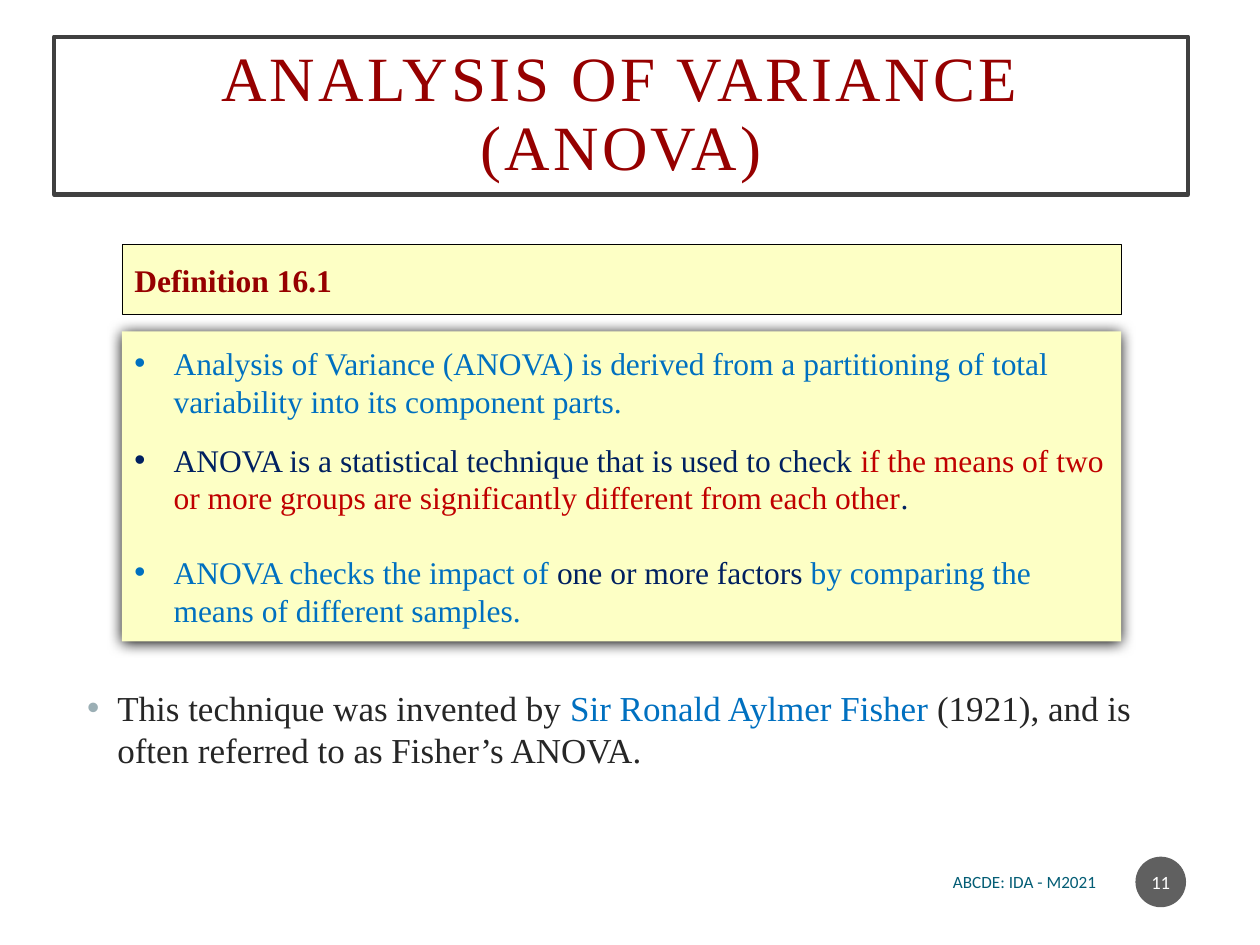
import pptx
import pptx.util
import pptx.dml.color
import pptx.enum.shapes
import pptx.enum.text
import pptx.oxml
import pptx.oxml.ns
import lxml.etree
from dataclasses import dataclass

Cm = pptx.util.Cm
Pt = pptx.util.Pt
ALIGN = pptx.enum.text.PP_ALIGN
ANCHOR = pptx.enum.text.MSO_ANCHOR
SHAPE = pptx.enum.shapes.MSO_SHAPE
qn = pptx.oxml.ns.qn


@dataclass
class Theme:
    serif: str = "Times New Roman"
    sans: str = "Calibri"
    title_size: float = 36
    body_size: float = 20
    box_size: float = 18
    footer_size: float = 9.8
    number_size: float = 10.7
    white: str = "FFFFFF"
    black: str = "000000"
    frame: str = "404040"
    maroon: str = "960000"
    cream: str = "FDFFC5"
    blue: str = "0070C0"
    navy: str = "002060"
    red: str = "C00000"
    ink: str = "262626"
    bullet: str = "9BAFB5"
    teal: str = "045D75"
    badge: str = "1D1D1D"


theme = Theme()

TITLE = [("ANALYSIS OF VARIANCE (ANOVA)", theme.maroon)]
HEADING = [("Definition 16.1", theme.maroon)]
DEFINITION = [
    (0, [("Analysis of Variance (ANOVA) is derived from a partitioning of total "
          "variability into its component parts.", theme.blue)]),
    (12, [("ANOVA is a statistical technique that is used to check ", theme.navy),
          ("if the means of two or more groups are significantly different "
           "from each other", theme.red),
          (".", theme.navy)]),
    (21, [("ANOVA checks the impact of ", theme.blue),
          ("one or more factors ", theme.navy),
          ("by comparing the means of different samples.", theme.blue)]),
]
HISTORY = [("This technique was invented by ", theme.ink),
           ("Sir Ronald Aylmer Fisher ", theme.blue),
           ("(1921), and is often referred to as Fisher’s ANOVA.", theme.ink)]
FOOTER = [("ABCDE: IDA - M2021", theme.teal)]
NUMBER = [("11", theme.white)]

BOX_LEFT, BOX_WIDTH = 2.46, 20.14


def rgb(value):
    return pptx.dml.color.RGBColor.from_string(value)


def place(shape, left, top, width, height):
    shape.left, shape.top, shape.width, shape.height = map(Cm, (left, top, width, height))


def add_panel(page, kind, bounds, fill, line=None):
    panel = page.shapes.add_shape(kind, *map(Cm, bounds))
    panel.shadow.inherit = False
    panel.fill.solid()
    panel.fill.fore_color.rgb = rgb(fill)
    if line:
        panel.line.color.rgb = rgb(line)
        panel.line.width = Pt(0.5)
    else:
        panel.line.fill.background()
    return panel


def prepare(shape, anchor=ANCHOR.MIDDLE):
    frame = shape.text_frame
    frame.word_wrap = True
    frame.auto_size = pptx.enum.text.MSO_AUTO_SIZE.NONE
    frame.vertical_anchor = anchor
    return frame


def write(para, spans, size, font=theme.serif, align=ALIGN.LEFT, before=0, bold=False):
    para.alignment = align
    para.space_before = Pt(before)
    for text, color in spans:
        span = para.add_run()
        span.text = text
        span.font.name = font
        span.font.size = Pt(size)
        span.font.bold = bold
        span.font.color.rgb = rgb(color)


def add_bullet(para, indent, color=None):
    props = para._p.get_or_add_pPr()
    props.set("marL", str(Cm(indent)))
    props.set("indent", str(-Cm(indent)))
    if color:
        tint = lxml.etree.SubElement(props, qn("a:buClr"))
        lxml.etree.SubElement(tint, qn("a:srgbClr"), val=color)
    lxml.etree.SubElement(props, qn("a:buFont"), typeface="Arial")
    lxml.etree.SubElement(props, qn("a:buChar"), char="•")


def add_glow(panel):
    effects = panel._element.spPr.find(qn("a:effectLst"))
    shadow = lxml.etree.SubElement(effects, qn("a:outerShdw"), blurRad=str(Pt(8.5)),
                                   dist=str(Pt(1)), dir="5400000", rotWithShape="0")
    lxml.etree.SubElement(shadow, qn("a:srgbClr"), val=theme.black)


def build_title(page):
    title = page.shapes.title
    place(title, 1.09, 0.74, 22.86, 3.18)
    title.fill.solid()
    title.fill.fore_color.rgb = rgb(theme.white)
    title.line.color.rgb = rgb(theme.frame)
    title.line.width = Pt(2.5)
    frame = prepare(title)
    frame.margin_left = frame.margin_right = Cm(0.51)
    frame.margin_top = frame.margin_bottom = Cm(0.51)
    para = frame.paragraphs[0]
    write(para, TITLE, theme.title_size, align=ALIGN.CENTER)
    para.line_spacing = 0.9
    para.runs[0].font._element.set("spc", "190")


def build_history(page):
    body = page.placeholders[1]
    place(body, 1.5, 13.72, 22.45, 3)
    para = prepare(body, ANCHOR.TOP).paragraphs[0]
    write(para, HISTORY, theme.body_size, before=9.8)
    add_bullet(para, 0.61, theme.bullet)


def build_definition(page):
    panel = add_panel(page, SHAPE.RECTANGLE, (BOX_LEFT, 6.68, BOX_WIDTH, 6.25), theme.cream)
    add_glow(panel)
    frame = prepare(panel)
    for index, (before, spans) in enumerate(DEFINITION):
        para = frame.add_paragraph() if index else frame.paragraphs[0]
        write(para, spans, theme.box_size, before=before)
        add_bullet(para, 0.79)
    heading = add_panel(page, SHAPE.RECTANGLE, (BOX_LEFT, 4.93, BOX_WIDTH, 1.42),
                        theme.cream, theme.black)
    write(prepare(heading).paragraphs[0], HEADING, theme.box_size, bold=True)


def build_footer(page):
    box = page.shapes.add_textbox(*map(Cm, (16.61, 17.32, 5.74, 0.89)))
    write(prepare(box).paragraphs[0], FOOTER, theme.footer_size, theme.sans, ALIGN.RIGHT)
    badge = add_panel(page, SHAPE.OVAL, (22.89, 17.27, 1.02, 1.02), theme.badge)
    color = badge._element.spPr.find(qn("a:solidFill")).find(qn("a:srgbClr"))
    lxml.etree.SubElement(color, qn("a:alpha"), val="70000")
    frame = prepare(badge)
    frame.margin_left = frame.margin_right = Cm(0.05)
    write(frame.paragraphs[0], NUMBER, theme.number_size, theme.sans, ALIGN.CENTER)


def main():
    deck = pptx.Presentation()
    deck.slide_width, deck.slide_height = Cm(25.4), Cm(19.05)
    page = deck.slides.add_slide(deck.slide_layouts[1])
    build_title(page)
    build_history(page)
    build_definition(page)
    build_footer(page)
    deck.save("out.pptx")


if __name__ == "__main__":
    main()
